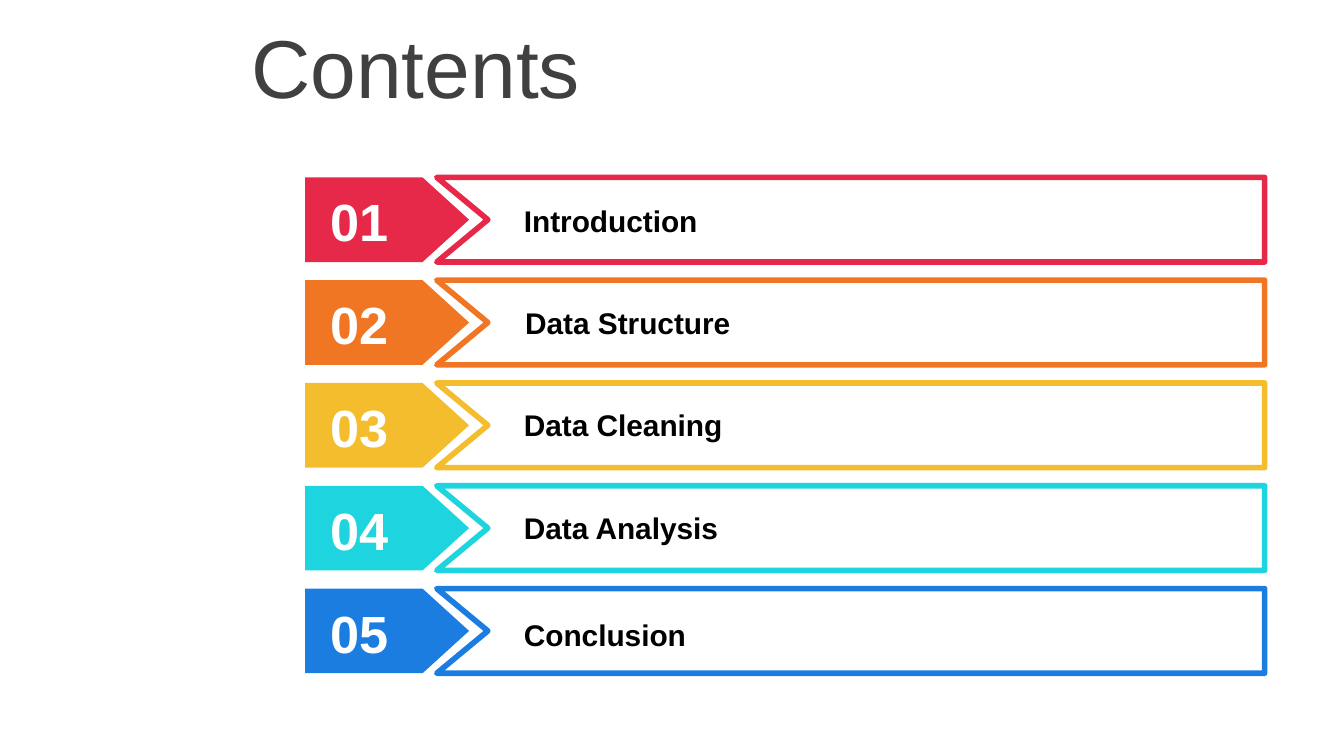
"""Build a contents slide with five numbered, coloured banners."""
from dataclasses import dataclass

from pptx import Presentation
from pptx.dml.color import RGBColor
from pptx.enum.shapes import MSO_SHAPE
from pptx.enum.text import MSO_ANCHOR, MSO_AUTO_SIZE, PP_ALIGN
from pptx.util import Inches, Pt


@dataclass(frozen=True)
class Theme:
    """Colours, font and type sizes of the slide."""
    font: str = "Arial"
    title: str = "404040"
    label: str = "000000"
    paper: str = "FFFFFF"
    title_size: int = 44
    number_size: int = 28
    label_size: int = 16
    outline: int = 3


@dataclass(frozen=True)
class Entry:
    """One line of the contents, with the place of its label in the row."""
    label: str
    color: str
    label_left: float = 3.8
    label_drop: float = 0.13


THEME = Theme()
SLIDE_WIDTH = 10
SLIDE_HEIGHT = SLIDE_WIDTH * 9 / 16
FIRST_TOP, LAST_TOP, ROW_HEIGHT = 1.32, 4.38, 0.63
TAG_LEFT, TAG_WIDTH, TAG_POINT = 2.27, 1.22, 0.55
PANEL_LEFT, PANEL_RIGHT, PANEL_NOTCH = 3.25, 9.41, 0.38
ENTRIES = [
    Entry("Introduction", "E62949", label_drop=0.14),
    Entry("Data Structure", "F07624", label_left=3.81),
    Entry("Data Cleaning", "F4BD2D"),
    Entry("Data Analysis", "1ED4DE"),
    Entry("Conclusion", "1C7DE1", label_drop=0.16),
]
ROW_PITCH = (LAST_TOP - FIRST_TOP) / (len(ENTRIES) - 1)


def style_font(paragraph, size, color, bold=False):
    """Set the font of a whole paragraph."""
    font = paragraph.font
    font.name, font.size, font.bold = THEME.font, Pt(size), bold
    font.color.rgb = RGBColor.from_string(color)


def fill_solid(shape, color):
    """Give a shape a flat fill without shadow."""
    shape.shadow.inherit = False
    shape.fill.solid()
    shape.fill.fore_color.rgb = RGBColor.from_string(color)


def add_title(slide, wording):
    """Place and format the title placeholder."""
    title = slide.shapes.title
    title.left, title.top = Inches(1.77), 0
    title.width, title.height = Inches(SLIDE_WIDTH - 1.77), Inches(0.97)
    frame = title.text_frame
    frame.text = wording
    frame.vertical_anchor = MSO_ANCHOR.MIDDLE
    frame.paragraphs[0].alignment = PP_ALIGN.LEFT
    style_font(frame.paragraphs[0], THEME.title_size, THEME.title)


def add_tag(slide, top, color):
    """Add the filled arrow tag that carries the number."""
    tag = slide.shapes.add_shape(
        MSO_SHAPE.PENTAGON, Inches(TAG_LEFT), Inches(top),
        Inches(TAG_WIDTH), Inches(ROW_HEIGHT))
    tag.adjustments[0] = TAG_POINT
    fill_solid(tag, color)
    tag.line.fill.background()


def add_panel(slide, top, color):
    """Add the outlined panel with a notch on its left side."""
    bottom = top + ROW_HEIGHT
    corners = [
        (PANEL_RIGHT, top), (PANEL_RIGHT, bottom), (PANEL_LEFT, bottom),
        (PANEL_LEFT + PANEL_NOTCH, top + ROW_HEIGHT / 2)]
    builder = slide.shapes.build_freeform(Inches(PANEL_LEFT), Inches(top))
    builder.add_line_segments([(Inches(x), Inches(y)) for x, y in corners])
    panel = builder.convert_to_shape()
    fill_solid(panel, THEME.paper)
    panel.line.color.rgb = RGBColor.from_string(color)
    panel.line.width = Pt(THEME.outline)


def add_text(slide, wording, box, size, color):
    """Add a bold, wrapping line of text and return its frame."""
    frame = slide.shapes.add_textbox(*map(Inches, box)).text_frame
    frame.word_wrap = True
    frame.auto_size = MSO_AUTO_SIZE.SHAPE_TO_FIT_TEXT
    frame.text = wording
    style_font(frame.paragraphs[0], size, color, bold=True)
    return frame


def add_row(slide, index, entry):
    """Add one contents row: tag, panel, number and label."""
    top = FIRST_TOP + index * ROW_PITCH
    add_tag(slide, top, entry.color)
    add_panel(slide, top, entry.color)
    number = add_text(slide, f"{index + 1:02}", (2.36, top + 0.09, 0.66, 0.47),
                      THEME.number_size, THEME.paper)
    number.margin_top = number.margin_bottom = 0
    number.vertical_anchor = MSO_ANCHOR.MIDDLE
    add_text(slide, entry.label,
             (entry.label_left, top + entry.label_drop, 5.3, 0.37),
             THEME.label_size, THEME.label)


def main():
    """Build and save the slide."""
    deck = Presentation()
    deck.slide_width, deck.slide_height = Inches(SLIDE_WIDTH), Inches(SLIDE_HEIGHT)
    slide = deck.slides.add_slide(deck.slide_layouts.get_by_name("Title Only"))
    add_title(slide, "Contents")
    for index, entry in enumerate(ENTRIES):
        add_row(slide, index, entry)
    deck.save("out.pptx")


if __name__ == "__main__":
    main()
